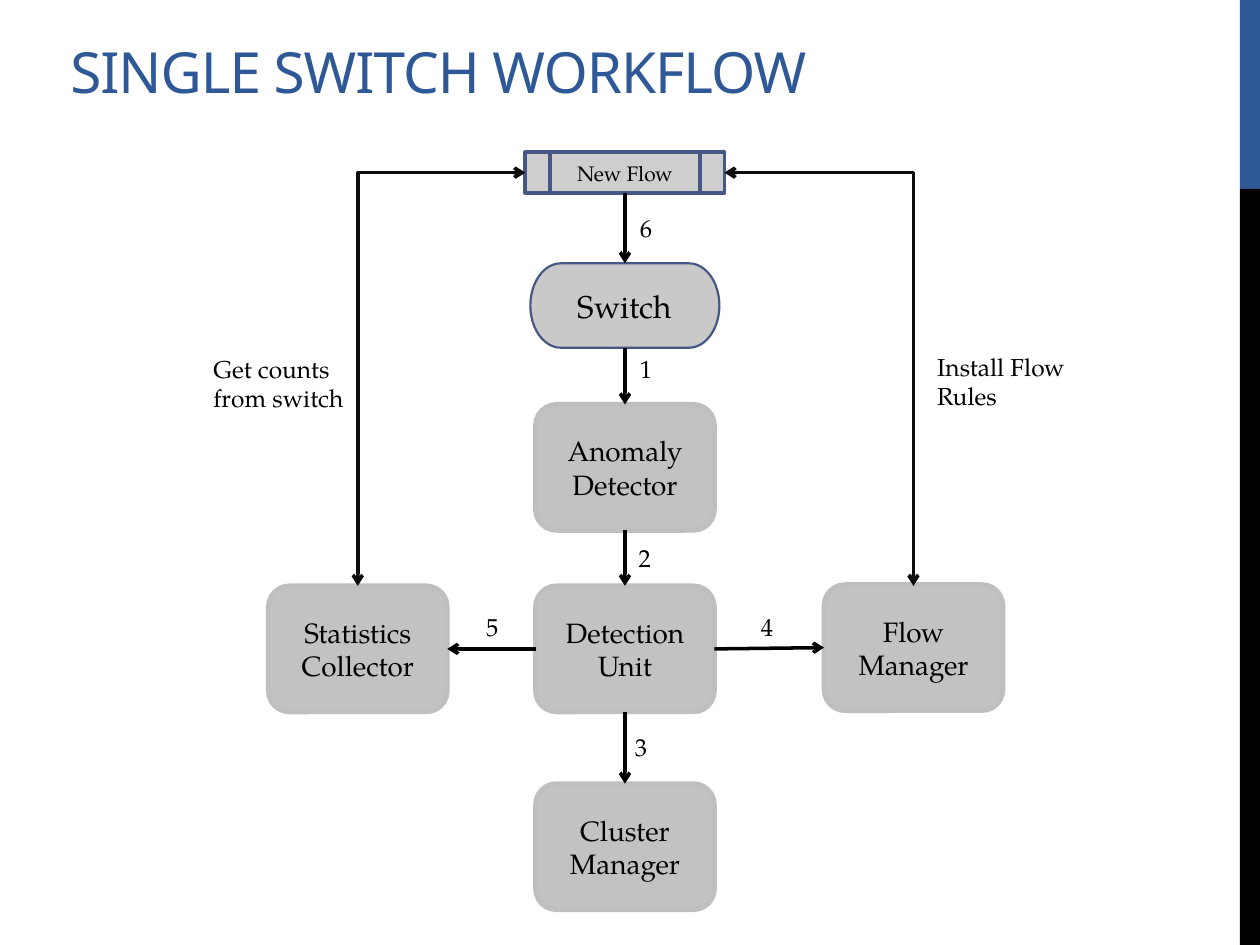
from lxml import etree
from pptx import Presentation
from pptx.dml.color import RGBColor
from pptx.enum.shapes import MSO_CONNECTOR, MSO_SHAPE
from pptx.enum.text import MSO_ANCHOR, PP_ALIGN
from pptx.oxml.ns import qn
from pptx.util import Inches, Pt

RECT = MSO_SHAPE.RECTANGLE
ROUND = MSO_SHAPE.ROUNDED_RECTANGLE
PILL = MSO_SHAPE.FLOWCHART_TERMINATOR
PROCESS = MSO_SHAPE.FLOWCHART_PREDEFINED_PROCESS
STRAIGHT, ELBOW = MSO_CONNECTOR.STRAIGHT, MSO_CONNECTOR.ELBOW
TOP, MIDDLE, BOTTOM = MSO_ANCHOR.TOP, MSO_ANCHOR.MIDDLE, MSO_ANCHOR.BOTTOM
LEFT, CENTER = PP_ALIGN.LEFT, PP_ALIGN.CENTER

BLUE = RGBColor(0x2F, 0x58, 0x97)
NAVY = RGBColor(0x47, 0x57, 0x85)
BLACK = RGBColor(0x00, 0x00, 0x00)
INK = RGBColor(0x0D, 0x0D, 0x0D)
GREY = RGBColor(0x80, 0x80, 0x80)
PALE = RGBColor(0xA6, 0xA6, 0xA6)
EDGE = RGBColor(0xBF, 0xBF, 0xBF)
SERIF, SANS = "TeX Gyre Pagella", "Noto Sans"

deck = Presentation()
deck.slide_width, deck.slide_height = Inches(10), Inches(7.5)
slide = deck.slides.add_slide(deck.slide_layouts[6])
shapes = slide.shapes

# The slide is a grid of 100 columns by 75 rows.
COL, ROW = deck.slide_width / 100, deck.slide_height / 75


def put(text, x, y, w, h, kind=None, size=14, font=SERIF, color=BLACK,
        align=LEFT, anchor=TOP, fill=None, alpha=100, edge=None, weight=1):
    """Place text in a plain box, or in a preset shape when kind is given."""
    area = [round(n) for n in (x * COL, y * ROW, w * COL, h * ROW)]
    if kind is None:
        shape = shapes.add_textbox(*area)
    else:
        shape = shapes.add_shape(kind, *area)
        shape.shadow.inherit = False
        shape.fill.solid()
        shape.fill.fore_color.rgb = fill
        tint = shape.element.spPr.find(qn("a:solidFill"))[0]
        if alpha < 100:
            etree.SubElement(tint, qn("a:alpha"), val=str(alpha * 1000))
        if edge is None:
            shape.line.fill.background()
        else:
            shape.line.color.rgb = edge
            shape.line.width = Pt(weight)
    if text:
        frame = shape.text_frame
        frame.word_wrap = True
        frame.vertical_anchor = anchor
        par = frame.paragraphs[0]
        par.alignment = align
        run = par.add_run()
        run.text = text
        run.font.size, run.font.name = Pt(size), font
        run.font.color.rgb = color
    return shape


def link(kind, x1, y1, x2, y2, color=BLACK, ends=("tailEnd",)):
    """Draw a connector with an arrowhead at each of the named ends."""
    wire = shapes.add_connector(kind, round(x1 * COL), round(y1 * ROW),
                                round(x2 * COL), round(y2 * ROW))
    wire.line.color.rgb = color
    wire.line.width = Pt(2)
    for end in ends:
        etree.SubElement(wire.line._get_or_add_ln(), qn("a:" + end), type="arrow")
    prop = wire.element.spPr
    etree.SubElement(prop, qn("a:effectLst"))
    if kind == ELBOW:
        prop.find(qn("a:prstGeom")).set("prst", "bentConnector2")


# Side band and title
put("", 98.4, 0, 1.6, 15, kind=RECT, fill=BLUE)
put("", 98.4, 15, 1.6, 60, kind=RECT, fill=BLACK)
title = put("SINGLE SWITCH WORKFLOW", 4.6, 2.1, 91.7, 6.2, size=32.4,
            font=SANS, color=BLUE, anchor=BOTTOM)
title.text_frame.margin_top = title.text_frame.margin_bottom = 0
title.text_frame.paragraphs[0].runs[0].font._element.set("spc", "-60")

# Middle axis, unit size and the left edges of the three unit columns
MID, WIDE, HIGH = 49.6, 14.2, 10
WEST, HUB, EAST = 21.3, MID - WIDE / 2, 65.4
LINE = 46.5

# Units
for name, x, y in [
    ("Anomaly Detector", HUB, 32.1),
    ("Statistics Collector", WEST, LINE),
    ("Detection Unit", HUB, LINE),
    ("Flow Manager", EAST, LINE - 0.1),
    ("Cluster Manager", HUB, 62.2),
]:
    put(name, x, y, WIDE, HIGH, kind=ROUND, size=16, align=CENTER,
        anchor=MIDDLE, fill=GREY, alpha=48, edge=EDGE, weight=2.75)

# Entry point and switch
put("New Flow", MID - 7.9, 12.1, 15.8, 3.2, kind=PROCESS, size=12, align=CENTER,
    anchor=MIDDLE, fill=PALE, alpha=55, edge=NAVY, weight=2.25)
put("Switch", MID - 7.5, 20.9, 15, 6.7, kind=PILL, size=18, align=CENTER,
    anchor=MIDDLE, fill=PALE, alpha=60, edge=NAVY, weight=1.25)

# Steps down the middle axis, then out to both sides
for top, end in [(15.3, 20.9), (27.6, 32.1), (42.1, LINE), (56.5, 62.2)]:
    link(STRAIGHT, MID, top, MID, end)
link(STRAIGHT, HUB, LINE + 5, WEST + WIDE, LINE + 5)
link(STRAIGHT, HUB + WIDE, LINE + 5, EAST, LINE + 4.9)

# Two-way links between the entry point and the outer units
for side, x in [(-7.9, WEST), (7.9, EAST)]:
    link(ELBOW, MID + side, 13.7, x + WIDE / 2, LINE, color=INK,
         ends=("headEnd", "tailEnd"))

# Step numbers and side notes
for step, x, y in [("1", 49.8, 27.6), ("2", 49.7, 42.6), ("3", 49.4, 57.6),
                   ("4", 59.4, 48.1), ("5", 37.6, 48.1), ("6", 49.8, 16.4)]:
    put(step, x, y, 2.9, 3.4)
put("Get counts from switch", 15.95, 27.6, 12.4, 6.7)
put("Install Flow Rules", 73.4, 27.45, 12.4, 6.7)

deck.save("out.pptx")
